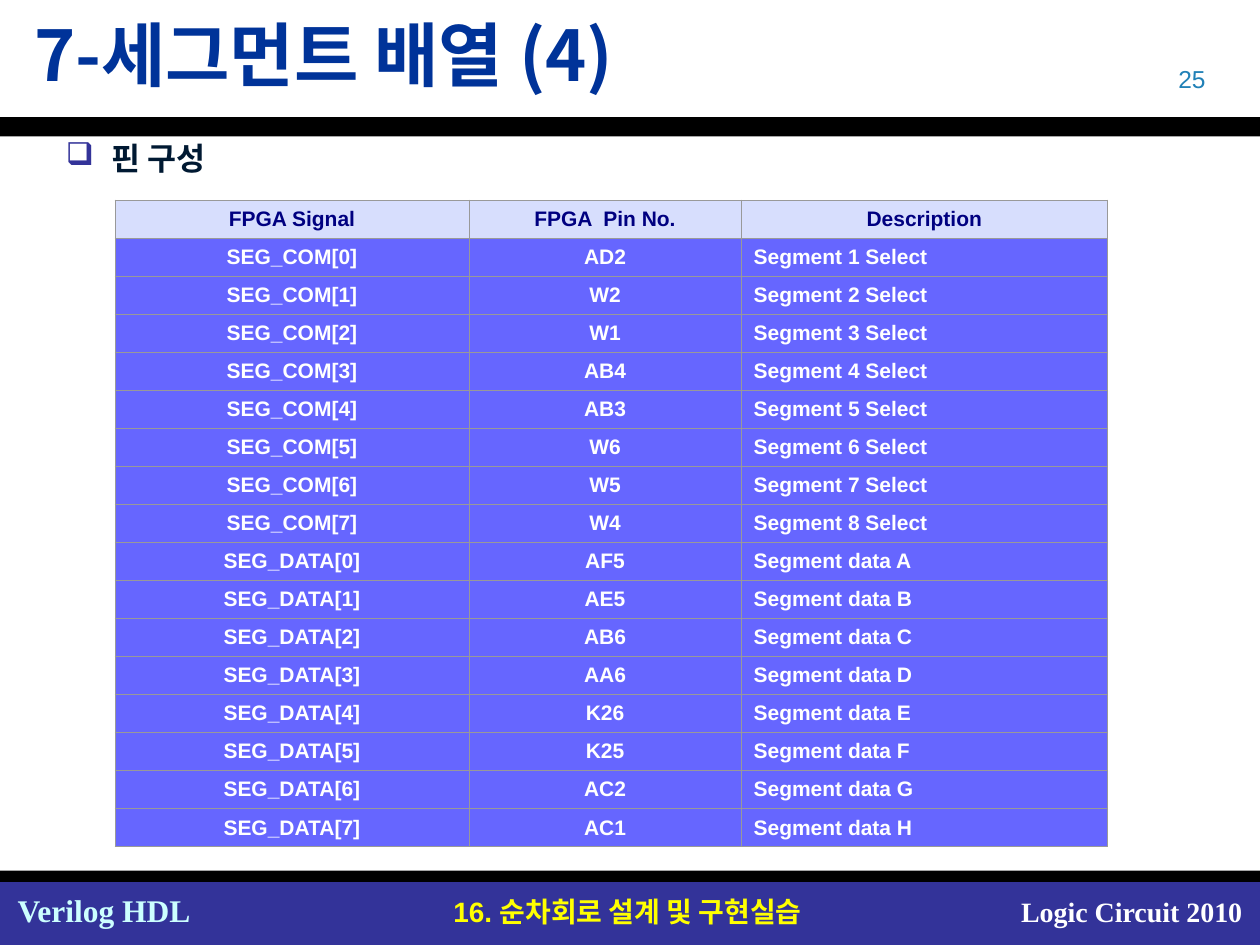
from lxml.etree import SubElement
from pptx import Presentation
from pptx.dml.color import RGBColor
from pptx.enum.shapes import MSO_SHAPE as Shape
from pptx.enum.text import MSO_ANCHOR as Anchor, PP_ALIGN as Align
from pptx.oxml.ns import qn
from pptx.util import Pt

KOREAN = "Noto Sans CJK KR"
HEADER = ["FPGA Signal", "FPGA  Pin No.", "Description"]
SELECT_PINS = ["AD2", "W2", "W1", "AB4", "AB3", "W6", "W5", "W4"]
DATA_PINS = ["AF5", "AE5", "AB6", "AA6", "K26", "K25", "AC2", "AC1"]
COLUMN_WIDTHS = [202.3, 155.5, 209.5]
ROW_HEIGHT = 21.75


def rgb(value):
    return RGBColor.from_string(value)


def style(paragraph, size, font, color, bold=True, align=Align.LEFT):
    paragraph.alignment = align
    for run in paragraph.runs:
        run.font.size = Pt(size)
        run.font.name = font
        run.font.bold = bold
        run.font.color.rgb = rgb(color)
        SubElement(run.font._element, qn("a:ea"), typeface=KOREAN)


def add_band(slide, top, height, color):
    band = slide.shapes.add_shape(Shape.RECTANGLE, 0, Pt(top), Pt(720), Pt(height))
    band.shadow.inherit = False
    band.fill.solid()
    band.fill.fore_color.rgb = rgb(color)
    band.line.fill.background()


def add_label(slide, box, text, size, font, color, **options):
    frame = slide.shapes.add_textbox(*map(Pt, box)).text_frame
    frame.word_wrap = True
    frame.text = text
    style(frame.paragraphs[0], size, font, color, **options)
    return frame


def add_bullet(paragraph, symbol, color, indent):
    properties = paragraph._p.get_or_add_pPr()
    properties.set("marL", str(Pt(indent)))
    properties.set("indent", str(-Pt(indent)))
    bullet_color = SubElement(properties, qn("a:buClr"))
    SubElement(bullet_color, qn("a:srgbClr"), val=color)
    SubElement(properties, qn("a:buChar"), char=symbol)


def add_borders(cell, color, width):
    properties = cell._tc.get_or_add_tcPr()
    for side in ("lnL", "lnR", "lnT", "lnB"):
        border = SubElement(properties, qn(f"a:{side}"), w=str(Pt(width)))
        fill = SubElement(border, qn("a:solidFill"))
        SubElement(fill, qn("a:srgbClr"), val=color)


def fill_cell(cell, text, fill, color, align):
    add_borders(cell, "999999", 0.45)
    cell.fill.solid()
    cell.fill.fore_color.rgb = rgb(fill)
    cell.vertical_anchor = Anchor.MIDDLE
    cell.margin_left = cell.margin_right = Pt(7.2)
    cell.margin_top = cell.margin_bottom = Pt(3.6)
    cell.text = text
    style(cell.text_frame.paragraphs[0], 12, "Arial", color, align=align)


def pin_rows():
    selects = [[f"SEG_COM[{i}]", pin, f"Segment {i + 1} Select"]
               for i, pin in enumerate(SELECT_PINS)]
    data = [[f"SEG_DATA[{i}]", pin, f"Segment data {'ABCDEFGH'[i]}"]
            for i, pin in enumerate(DATA_PINS)]
    return [HEADER] + selects + data


def add_pin_table(slide, left, top):
    rows = pin_rows()
    table = slide.shapes.add_table(
        len(rows), len(HEADER), Pt(left), Pt(top),
        Pt(sum(COLUMN_WIDTHS)), Pt(ROW_HEIGHT * len(rows))).table
    for column, width in zip(table.columns, COLUMN_WIDTHS):
        column.width = Pt(width)
    for r, values in enumerate(rows):
        table.rows[r].height = Pt(ROW_HEIGHT)
        fill, color = ("6666FF", "FFFFFF") if r else ("D7DEFD", "000080")
        for c, text in enumerate(values):
            align = Align.LEFT if r and c == 2 else Align.CENTER
            fill_cell(table.cell(r, c), text, fill, color, align)


def main():
    """Build the pin assignment slide."""
    deck = Presentation()
    deck.slide_width, deck.slide_height = Pt(720), Pt(540)
    slide = deck.slides.add_slide(deck.slide_layouts[6])

    add_band(slide, 504, 36, "333399")
    add_band(slide, 67, 11, "000000")
    add_band(slide, 497.5, 6.5, "000000")

    add_label(slide, (218, 507.5, 281, 26.5), "16. 순차회로 설계 및 구현실습",
              16, "Arial", "FFFF00", align=Align.CENTER)
    add_label(slide, (528, 507.5, 189, 26.5), "Logic Circuit 2010",
              16, "Times New Roman", "FFFFFF", align=Align.RIGHT)
    course = add_label(slide, (3, 505.5, 114, 29), "Verilog HDL",
                       18, "Times New Roman", "CCFFFF")
    course.margin_right = Pt(1.4)
    add_label(slide, (528, 33, 168, 24), "25",
              14, "Arial", "2181B7", bold=False, align=Align.RIGHT)

    title = add_label(slide, (12.5, 3.5, 696, 54), "7-세그먼트 배열 (4)",
                      40, KOREAN, "003399")
    title.vertical_anchor = Anchor.MIDDLE

    topic = add_label(slide, (30.5, 71.5, 327.5, 420), "핀 구성",
                      18, "Times New Roman", "001932").paragraphs[0]
    topic.line_spacing = 1.2
    add_bullet(topic, "❑", "333399", 26)

    add_pin_table(slide, 65.7, 114.2)
    deck.save("out.pptx")


if __name__ == "__main__":
    main()
